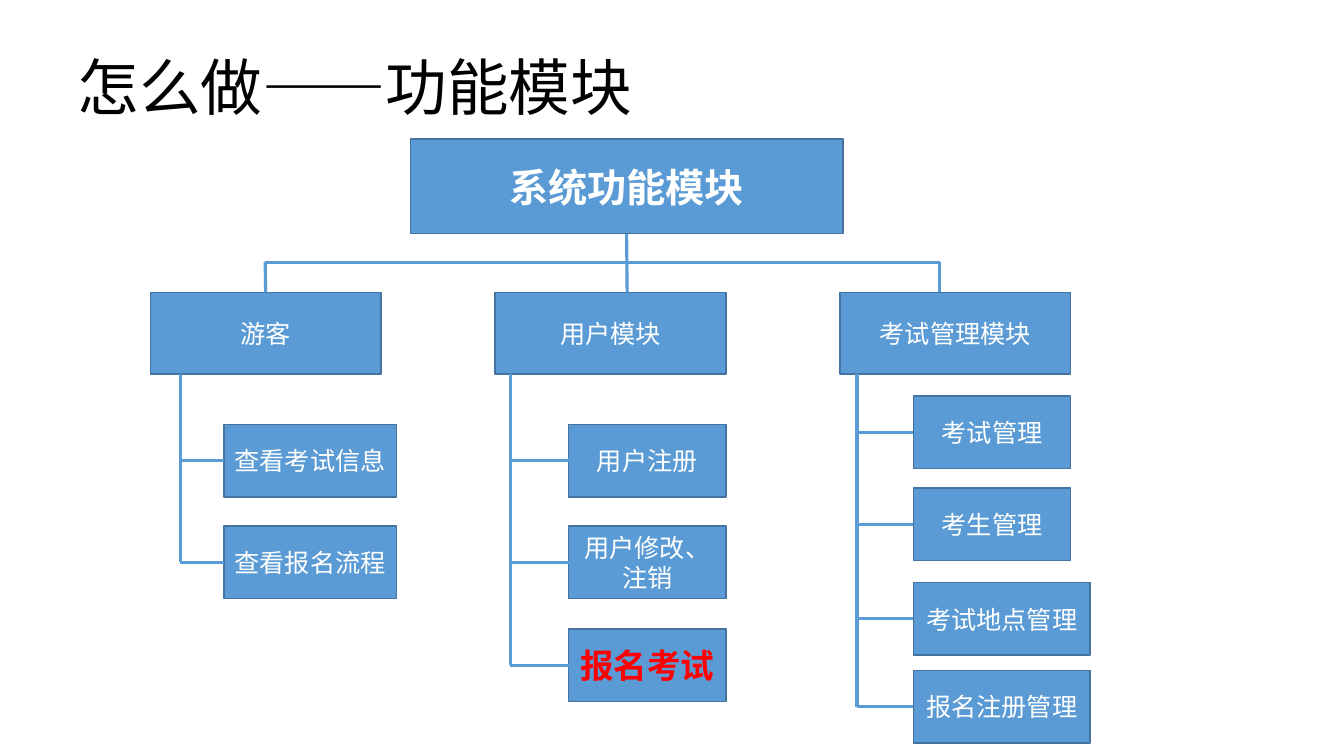
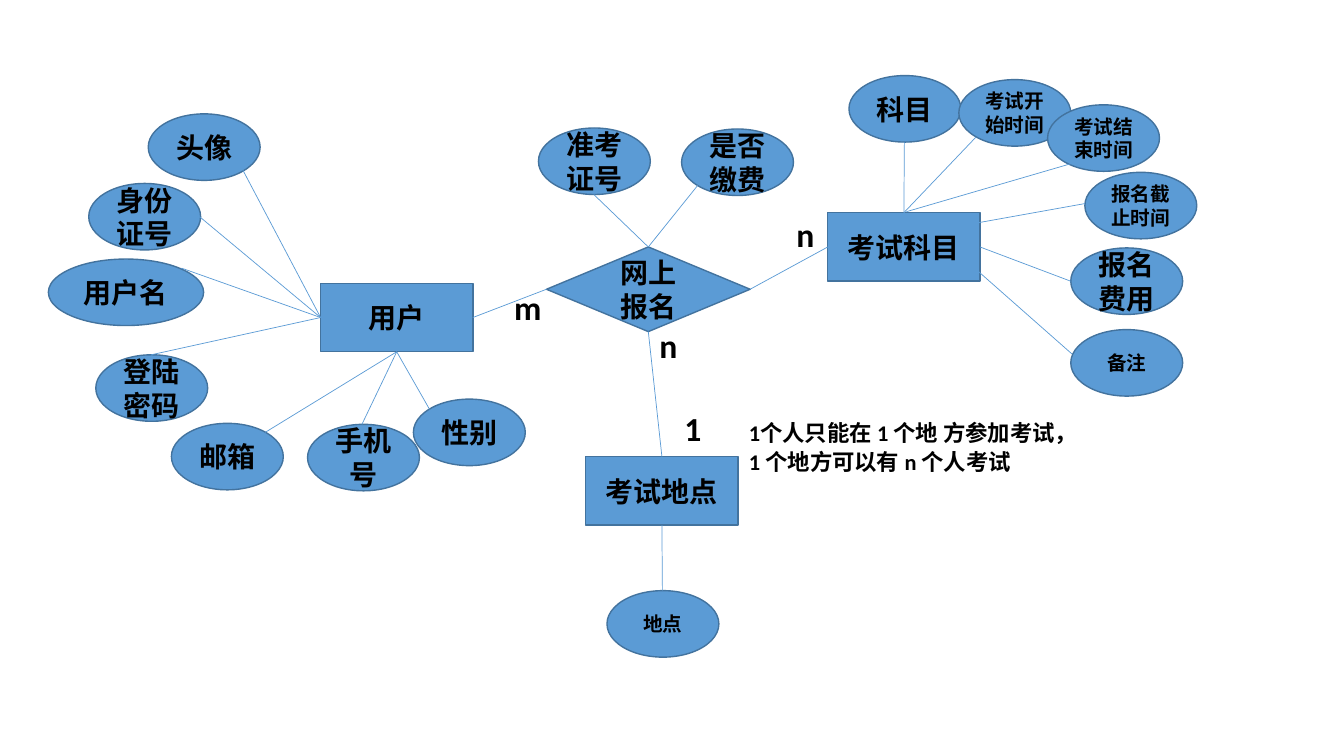
from collections import namedtuple

from lxml import etree
from pptx import Presentation
from pptx.dml.color import RGBColor
from pptx.enum import shapes, text
from pptx.oxml.ns import qn
from pptx.util import Inches, Pt

FONT = "Calibri"
BLUE, EDGE = "5B9BD5", "43739E"
WHITE, BLACK, RED = "FFFFFF", "000000", "FF0000"
RECT = shapes.MSO_SHAPE.RECTANGLE
OVAL = shapes.MSO_SHAPE.OVAL
DIAMOND = shapes.MSO_SHAPE.DIAMOND
TOP, LEFT, BOTTOM, RIGHT = range(4)
TITLE_ONLY, BLANK = 5, 6

Side = namedtuple("Side", "box site")


def color(value):
    return RGBColor.from_string(value)


def add_span(para, words, size=18, fill=BLACK, bold=False):
    span = para.add_run()
    span.text = words
    span.font.name = FONT
    span.font.size = Pt(size)
    span.font.bold = bold
    span.font.color.rgb = color(fill)


def add_title(page, words):
    title = page.shapes.title
    title.left, title.top = Inches(0.67), Inches(0.17)
    title.width, title.height = Inches(11.5), Inches(1.45)
    title.text_frame.vertical_anchor = text.MSO_ANCHOR.MIDDLE
    para = title.text_frame.paragraphs[0]
    para.alignment = text.PP_ALIGN.LEFT
    para.line_spacing = 0.9
    add_span(para, words, size=44)


def add_box(page, kind, words, left, top, width, height, **style):
    box = page.shapes.add_shape(
        kind, Inches(left), Inches(top), Inches(width), Inches(height))
    box.shadow.inherit = False
    box.fill.solid()
    box.fill.fore_color.rgb = color(BLUE)
    box.line.color.rgb = color(EDGE)
    box.line.width = Pt(1)
    frame = box.text_frame
    frame.word_wrap = True
    frame.vertical_anchor = text.MSO_ANCHOR.MIDDLE
    para = frame.paragraphs[0]
    para.alignment = text.PP_ALIGN.CENTER
    add_span(para, words, **style)
    return box


def add_line(page, start, end, weight):
    """Draw a straight line; each end is an (x, y) point or a Side to join."""
    points = [(0, 0) if isinstance(stop, Side) else stop for stop in (start, end)]
    line = page.shapes.add_connector(
        shapes.MSO_CONNECTOR.STRAIGHT,
        *(Inches(value) for point in points for value in point))
    if isinstance(start, Side):
        line.begin_connect(start.box, start.site)
    if isinstance(end, Side):
        line.end_connect(end.box, end.site)
    line.line.color.rgb = color(BLUE)
    line.line.width = Pt(weight)
    etree.SubElement(line._element.spPr, qn("a:effectLst"))


def add_frame(page, left, top, width, height):
    box = page.shapes.add_textbox(
        Inches(left), Inches(top), Inches(width), Inches(height))
    box.text_frame.word_wrap = True
    box.text_frame.auto_size = text.MSO_AUTO_SIZE.SHAPE_TO_FIT_TEXT
    return box.text_frame


def add_label(page, words, left, top):
    frame = add_frame(page, left, top, 0.41, 0.5)
    add_span(frame.paragraphs[0], words, size=24, bold=True)


def set_indent(para, left, first):
    props = para._p.get_or_add_pPr()
    props.set("marL", str(Inches(left)))
    props.set("indent", str(Inches(first)))


def add_note(page):
    frame = add_frame(page, 6.69, 4, 4.76, 0.77)
    first, second = frame.paragraphs[0], frame.add_paragraph()
    set_indent(first, 0.64, -0.64)
    set_indent(second, 0.64, 0)
    add_span(first, "1\t", size=24, bold=True)
    add_span(first, "1个人只能在 1 个地 方参加考试，", size=16, bold=True)
    add_span(second, "1 个地方可以有 n 个人考试", size=16, bold=True)


def add_module(page, words, left, trunk, children):
    """Draw a module with its children hung from a trunk line."""
    top, height, child_height = 2.9, 0.81, 0.72
    module = add_box(page, RECT, words, left, top, 2.29, height, fill=WHITE)
    for name, child_top, width, style in children:
        child = add_box(page, RECT, name, left + 0.73, child_top, width,
                        child_height, **{"fill": WHITE, **style})
        add_line(page, (trunk, child_top + child_height / 2),
                 Side(child, LEFT), 2.25)
    add_line(page, (trunk, top + height),
             (trunk, children[-1][1] + child_height / 2), 2.25)
    return module


def build_modules(page):
    add_title(page, "怎么做——功能模块")
    root = add_box(page, RECT, "系统功能模块", 4.07, 1.38, 4.29, 0.94,
                   size=28, fill=WHITE, bold=True)
    guest = add_module(page, "游客", 1.49, 1.79, [
        ("查看考试信息", 4.21, 1.71, {}),
        ("查看报名流程", 5.22, 1.71, {}),
    ])
    add_module(page, "用户模块", 4.91, 5.06, [
        ("用户注册", 4.21, 1.56, {}),
        ("用户修改、注销", 5.22, 1.56, {}),
        ("报名考试", 6.24, 1.56, {"size": 24, "fill": RED, "bold": True}),
    ])
    add_module(page, "考试管理模块", 8.33, 8.5, [
        ("考试管理", 3.93, 1.56, {}),
        ("考生管理", 4.84, 1.56, {}),
        ("考试地点管理", 5.78, 1.75, {}),
        ("报名注册管理", 6.65, 1.75, {}),
    ])
    bus = 2.6
    for start, end in [
        ((2.63, bus), (9.32, bus)),
        (Side(root, BOTTOM), (6.22, 2.9)),
        ((2.63, bus), Side(guest, TOP)),
        ((9.32, bus), (9.32, 2.9)),
    ]:
        add_line(page, start, end, 2.25)


def add_entity(page, words, left, top):
    return add_box(page, RECT, words, left, top, 1.51, 0.68, size=20, bold=True)


def add_attribute(page, words, left, top, start, end, size=20, width=1.11):
    """Draw an attribute oval and the line to it from its owner."""
    add_box(page, OVAL, words, left, top, width, 0.66, size=size, bold=True)
    add_line(page, start, end, 0.5)


def build_relations(page):
    user = add_entity(page, "用户", 3.18, 2.81)
    subject = add_entity(page, "考试科目", 8.21, 2.11)
    place = add_entity(page, "考试地点", 5.81, 4.53)
    signup = add_box(page, DIAMOND, "网上报名", 5.42, 2.45, 2.02, 0.84,
                     size=20, bold=True)
    for site, entity, entity_site in [
        (LEFT, user, RIGHT), (RIGHT, subject, LEFT), (BOTTOM, place, TOP),
    ]:
        add_line(page, Side(signup, site), Side(entity, entity_site), 0.5)

    user_left, user_bottom = Side(user, LEFT), Side(user, BOTTOM)
    subject_top, signup_top = Side(subject, TOP), Side(signup, TOP)
    for words, left, top, start, end, style in [
        ("头像", 1.47, 1.13, user_left, (2.41, 1.69), {}),
        ("身份证号", 0.88, 1.82, user_left, (1.98, 2.15), {}),
        ("用户名", 0.48, 2.57, user_left, (1.8, 2.66), {"width": 1.54}),
        ("登陆密码", 0.95, 3.52, user_left, (1.5, 3.52), {}),
        ("邮箱", 1.7, 4.2, user_bottom, (2.63, 4.29), {}),
        ("手机号", 3.05, 4.21, user_bottom, (3.59, 4.21), {}),
        ("性别", 4.1, 3.96, user_bottom, (4.26, 4.06), {}),
        ("准考证号", 5.34, 1.27, signup_top, (5.89, 1.93), {}),
        ("是否缴费", 6.76, 1.28, signup_top, (6.92, 1.84), {}),
        ("科目", 8.42, 0.75, subject_top, (8.97, 1.41), {}),
        ("考试开始时间", 9.51, 0.79, subject_top, (9.68, 1.36), {"size": 14}),
        ("考试结束时间", 10.39, 1.04, (8.99, 2.1), (10.67, 1.61), {"size": 14}),
        ("报名截止时间", 10.76, 1.71, (9.7, 2.21), (10.76, 2.02), {"size": 14}),
        ("报名费用", 10.62, 2.46, Side(subject, RIGHT), (10.62, 2.79), {}),
        ("备注", 10.62, 3.27, (9.7, 2.69), (10.63, 3.51), {"size": 14}),
        ("地点", 6.02, 5.86, Side(place, BOTTOM), (6.57, 5.86), {"size": 14}),
    ]:
        add_attribute(page, words, left, top, start, end, **style)

    for words, left, top in [("m", 5, 2.8), ("n", 7.8, 2.07), ("n", 6.44, 3.17)]:
        add_label(page, words, left, top)
    add_note(page)


def main():
    deck = Presentation()
    deck.slide_width, deck.slide_height = Inches(13.33), Inches(7.5)
    for layout, build in [(TITLE_ONLY, build_modules), (BLANK, build_relations)]:
        build(deck.slides.add_slide(deck.slide_layouts[layout]))
    deck.save("out.pptx")


if __name__ == "__main__":
    main()
